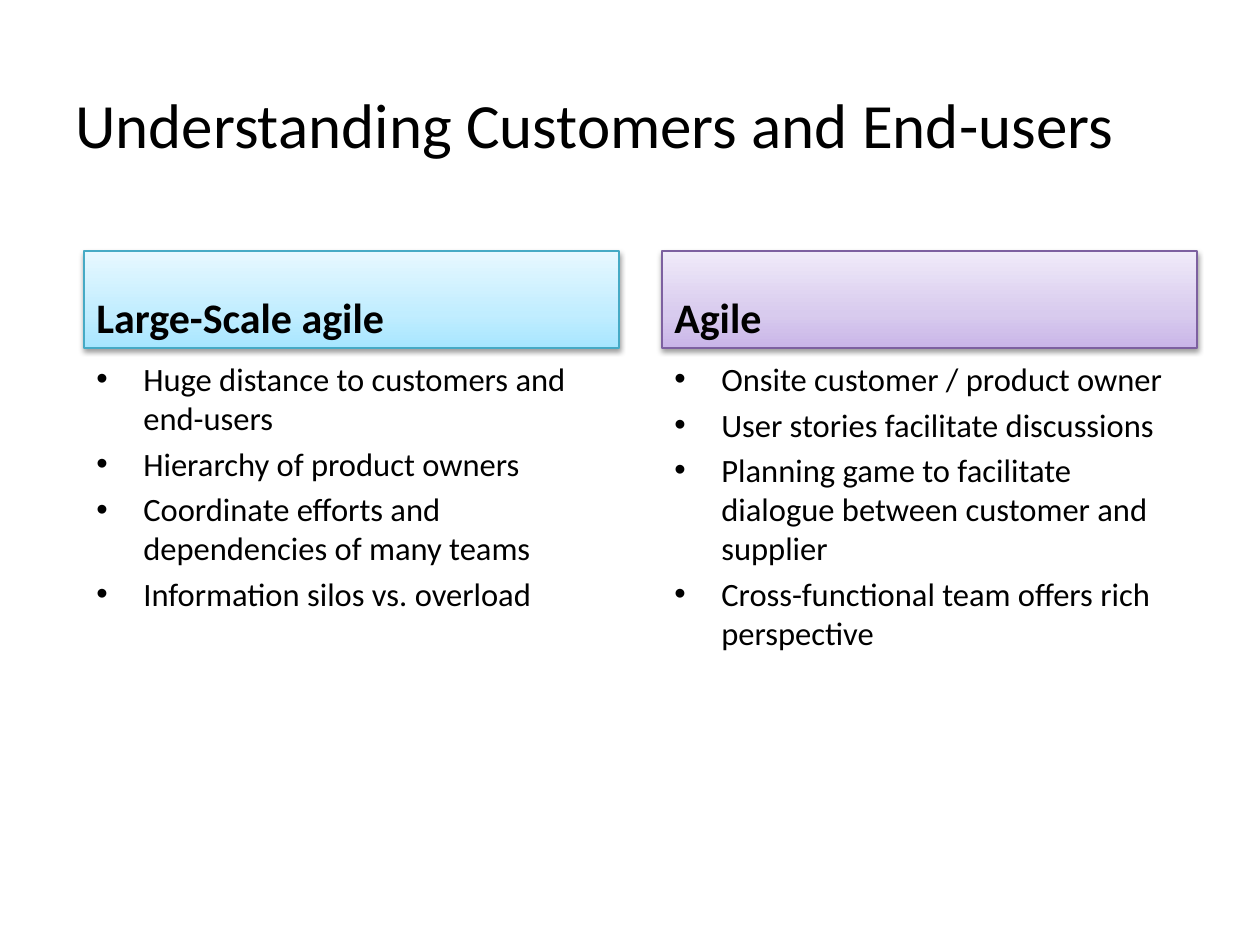
from lxml.etree import SubElement
from pptx import Presentation
from pptx.dml.color import RGBColor
from pptx.enum.shapes import MSO_SHAPE
from pptx.enum.text import MSO_ANCHOR, PP_ALIGN
from pptx.oxml.ns import qn
from pptx.util import Emu, Pt

BLACK = RGBColor(0x00, 0x00, 0x00)
AQUA = RGBColor(0x46, 0xAA, 0xC5)
PURPLE = RGBColor(0x7D, 0x60, 0xA0)
AQUA_STOPS = (RGBColor(0xA7, 0xE6, 0xFF), RGBColor(0xC1, 0xED, 0xFF), RGBColor(0xE7, 0xF8, 0xFF))
PURPLE_STOPS = (RGBColor(0xC9, 0xB5, 0xE8), RGBColor(0xD8, 0xCB, 0xEE), RGBColor(0xF0, 0xEA, 0xF9))

# Content
TITLE = "Understanding Customers and End-users"
COLUMNS = [
    {"heading": "Large-Scale agile", "line": AQUA, "stops": AQUA_STOPS,
     "points": ["Huge distance to customers and end-users",
                "Hierarchy of product owners",
                "Coordinate efforts and dependencies of many teams",
                "Information silos vs. overload"]},
    {"heading": "Agile", "line": PURPLE, "stops": PURPLE_STOPS,
     "points": ["Onsite customer / product owner",
                "User stories facilitate discussions",
                "Planning game to facilitate dialogue between customer and supplier",
                "Cross-functional team offers rich perspective"]},
]

# Layout in px, 126 to the inch
SCALE = 914400 / 126
COLUMN_LEFT, COLUMN_WIDTH, COLUMN_GAP = 84, 535, 43
HEADING_TOP, HEADING_HEIGHT = 251, 97
POINTS_TOP, POINTS_HEIGHT = 353, 483
BULLET_INDENT = 47
STOP_POSITIONS = (0, 35, 100)

TITLE_FONT = {"name": "Calibri", "size": Pt(36), "bold": False}
HEADING_FONT = {"name": "Calibri", "size": Pt(24), "bold": True}
POINT_FONT = {"name": "Calibri", "size": Pt(18.6), "bold": False}


def px(length):
    return Emu(round(length * SCALE))


def write(shape, lines, font_values, anchor, bullets=False):
    frame = shape.text_frame
    frame.word_wrap = True
    frame.vertical_anchor = anchor
    for index, line in enumerate(lines):
        paragraph = frame.paragraphs[0] if index == 0 else frame.add_paragraph()
        paragraph.text = line
        paragraph.alignment = PP_ALIGN.LEFT
        if index:
            paragraph.space_before = Pt(3.7)
        if bullets:
            properties = paragraph._p.get_or_add_pPr()
            properties.set("marL", str(px(BULLET_INDENT)))
            properties.set("indent", str(-px(BULLET_INDENT)))
            SubElement(properties, qn("a:buFont"), typeface="Arial")
            SubElement(properties, qn("a:buChar"), char="•")
        for name, value in font_values.items():
            setattr(paragraph.font, name, value)
        paragraph.font.color.rgb = BLACK


def add_color(parent, color):
    return SubElement(parent, qn("a:srgbClr"), val=str(color))


def style_heading(shape, line_color, stops):
    shape.line.color.rgb = line_color
    shape.line.width = Pt(0.75)

    # Gradient running from bottom to top
    shape.fill.gradient()
    shape.fill.gradient_angle = 90
    stop_list = shape._element.spPr.find(".//" + qn("a:gsLst"))
    for old_stop in list(stop_list):
        stop_list.remove(old_stop)
    for position, color in zip(STOP_POSITIONS, stops):
        add_color(SubElement(stop_list, qn("a:gs"), pos=str(position * 1000)), color)

    # Soft shadow straight below
    shape.shadow.inherit = False
    effects = shape._element.spPr.find(qn("a:effectLst"))
    shadow = SubElement(effects, qn("a:outerShdw"), blurRad="40000", dist="20000",
                        dir="5400000", rotWithShape="0")
    SubElement(add_color(shadow, BLACK), qn("a:alpha"), val="38000")


def main():
    presentation = Presentation()
    presentation.slide_width, presentation.slide_height = px(1260), px(945)
    slide = presentation.slides.add_slide(presentation.slide_layouts[6])

    # Title
    title = slide.shapes.add_textbox(px(63), px(64), px(1134), px(118))
    write(title, [TITLE], TITLE_FONT, MSO_ANCHOR.MIDDLE)

    # Columns: heading bar above its bullet list
    for index, column in enumerate(COLUMNS):
        left = px(COLUMN_LEFT + index * (COLUMN_WIDTH + COLUMN_GAP))
        points = slide.shapes.add_textbox(left, px(POINTS_TOP), px(COLUMN_WIDTH), px(POINTS_HEIGHT))
        write(points, column["points"], POINT_FONT, MSO_ANCHOR.TOP, bullets=True)
        heading = slide.shapes.add_shape(MSO_SHAPE.RECTANGLE, left, px(HEADING_TOP),
                                         px(COLUMN_WIDTH), px(HEADING_HEIGHT))
        style_heading(heading, column["line"], column["stops"])
        write(heading, [column["heading"]], HEADING_FONT, MSO_ANCHOR.BOTTOM)

    presentation.save("out.pptx")


if __name__ == "__main__":
    main()
